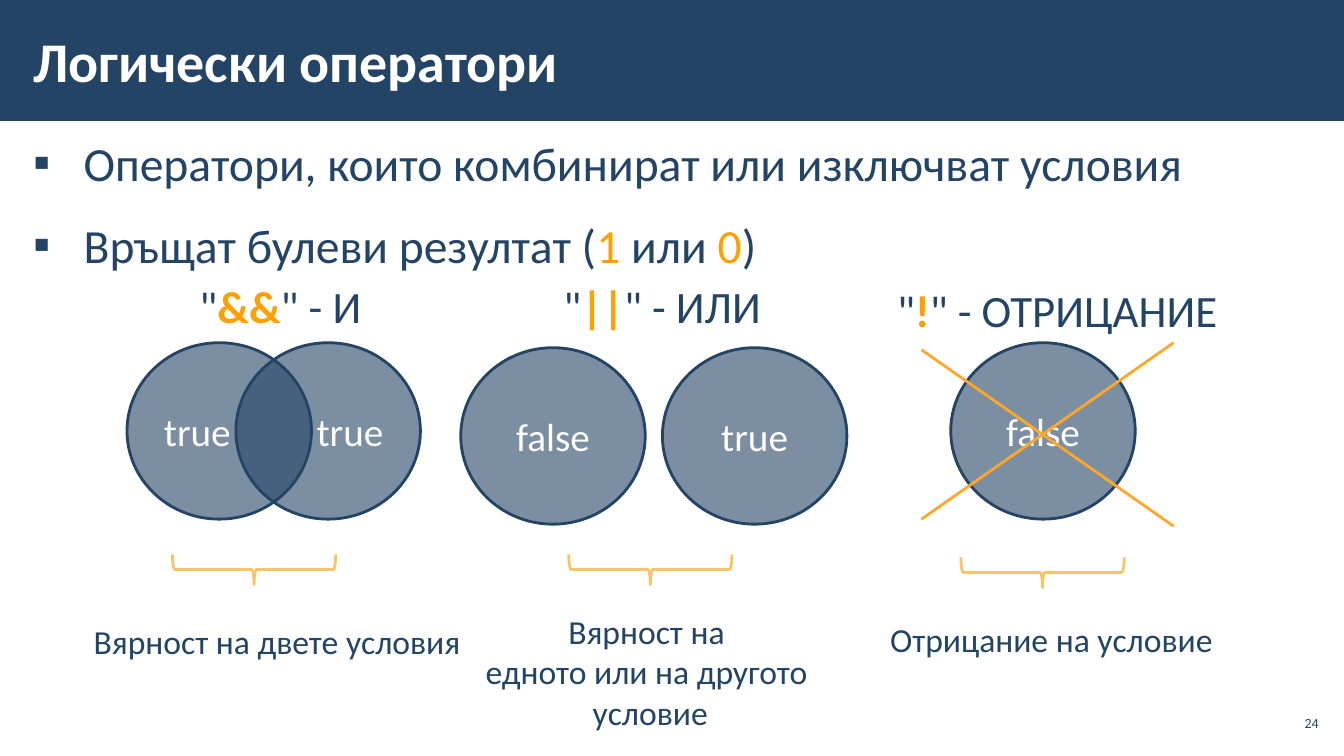
"""Build the slide on logical operators with Venn circles, braces and captions."""
from dataclasses import dataclass
from typing import Optional

from lxml.etree import SubElement
from pptx import Presentation
from pptx.dml.color import RGBColor
from pptx.enum.shapes import MSO_CONNECTOR as Connector, MSO_SHAPE as Preset
from pptx.enum.text import MSO_ANCHOR as Anchor, MSO_AUTO_SIZE as AutoSize, PP_ALIGN as Align
from pptx.oxml.ns import qn
from pptx.util import Inches, Pt

NAVY = RGBColor(0x23, 0x44, 0x65)
AMBER = RGBColor(0xFF, 0xA0, 0x00)
CROSS = RGBColor(0xFF, 0xA7, 0x2A)
SAND = RGBColor(0xF5, 0xC5, 0x67)
WHITE = RGBColor(0xFF, 0xFF, 0xFF)
FONT = "Calibri"
CIRCLE_WIDTH, CIRCLE_HEIGHT = 1.83, 1.75
BRACE_WIDTH, BRACE_HEIGHT = 0.3, 1.62


@dataclass(frozen=True)
class Box:
    left: float
    top: float
    width: float
    height: float

    def lengths(self) -> tuple:
        return tuple(Inches(n) for n in (self.left, self.top, self.width, self.height))


@dataclass(frozen=True)
class Piece:
    text: str
    color: RGBColor = NAVY
    bold: bool = False


@dataclass(frozen=True)
class Circle:
    left: float
    text: str
    align: Align = Align.CENTER


@dataclass(frozen=True)
class Operator:
    symbol: str
    name: str
    heading: Box
    circle_top: float
    circles: tuple[Circle, ...]
    brace_left: float
    brace_top: float
    caption: Box
    lines: tuple[str, ...]
    caption_align: Optional[Align] = None


BULLETS = (
    (Piece("Оператори, които комбинират или изключват условия"),),
    (Piece("Връщат булеви резултат ("), Piece("1", AMBER), Piece(" или "),
     Piece("0", AMBER), Piece(")")),
)
OPERATORS = (
    Operator("&&", "И", Box(1.88, 2.72, 1.88, 0.64), 3.4,
             (Circle(1.26, "true", Align.LEFT), Circle(2.34, "true", Align.RIGHT)),
             2.37, 4.84, Box(0.83, 6.11, 3.87, 0.5), ("Вярност на двете условия",)),
    Operator("||", "ИЛИ", Box(5.49, 2.72, 2.17, 0.64), 3.45,
             (Circle(4.57, "false"), Circle(6.57, "true")),
             6.3, 4.84, Box(4.7, 6.01, 3.5, 1.31),
             ("Вярност на ", "едното или на другото ", "условие"), Align.CENTER),
    Operator("!", "ОТРИЦАНИЕ", Box(8.8, 2.76, 3.41, 0.64), 3.4,
             (Circle(9.43, "false"),),
             10.19, 4.87, Box(8.73, 6.09, 3.44, 0.5), ("Отрицание на условие",)),
)
CROSS_LINES = ((11.64, 3.4, 9.14, 5.15), (11.64, 5.22, 9.14, 3.47))


def add_pieces(paragraph, pieces, size: float) -> None:
    for piece in pieces:
        run = paragraph.add_run()
        run.text = piece.text
        run.font.name = FONT
        run.font.size = Pt(size)
        run.font.bold = piece.bold
        run.font.color.rgb = piece.color


def set_insets(frame, horizontal: float, vertical: float) -> None:
    frame.margin_left = frame.margin_right = Inches(horizontal)
    frame.margin_top = frame.margin_bottom = Inches(vertical)


def place(shape, box: Box) -> None:
    shape.left, shape.top, shape.width, shape.height = box.lengths()


def add_label(slide, box: Box, rows, size: float, align: Align = Align.LEFT) -> None:
    frame = slide.shapes.add_textbox(*box.lengths()).text_frame
    frame.word_wrap = False
    frame.auto_size = AutoSize.SHAPE_TO_FIT_TEXT
    for index, pieces in enumerate(rows):
        paragraph = frame.add_paragraph() if index else frame.paragraphs[0]
        paragraph.alignment = align
        add_pieces(paragraph, pieces, size)


def add_header(slide) -> None:
    band = slide.shapes.add_shape(Preset.RECTANGLE, *Box(0, 0, 13.33, 1.2).lengths())
    band.shadow.inherit = False
    band.fill.solid()
    band.fill.fore_color.rgb = NAVY
    band.line.fill.background()
    slide.shapes.title.element.addprevious(band.element)

    title = slide.shapes.title
    place(title, Box(0.21, 0.11, 10.39, 0.97))
    frame = title.text_frame
    frame.auto_size = AutoSize.NONE
    frame.vertical_anchor = Anchor.MIDDLE
    set_insets(frame, 0.12, 0.04)
    frame.paragraphs[0].alignment = Align.LEFT
    add_pieces(frame.paragraphs[0], (Piece("Логически оператори", WHITE, True),), 40)


def add_bullets(slide) -> None:
    body = slide.placeholders[1]
    place(body, Box(0.21, 1.2, 12.91, 6.09))
    frame = body.text_frame
    frame.auto_size = AutoSize.NONE
    set_insets(frame, 0.12, 0.04)
    for index, pieces in enumerate(BULLETS):
        paragraph = frame.add_paragraph() if index else frame.paragraphs[0]
        properties = paragraph._p.get_or_add_pPr()
        properties.set("marL", str(Inches(0.5)))
        properties.set("indent", str(Inches(-0.5)))
        SubElement(properties, qn("a:buFont"), typeface=FONT)
        SubElement(properties, qn("a:buChar"), char="▪")
        paragraph.line_spacing = 1.15
        paragraph.space_before = Pt(6 if index else 0)
        paragraph.space_after = Pt(6)
        add_pieces(paragraph, pieces, 34)


def add_circle(slide, circle: Circle, top: float) -> None:
    box = Box(circle.left, top, CIRCLE_WIDTH, CIRCLE_HEIGHT)
    shape = slide.shapes.add_shape(Preset.OVAL, *box.lengths())
    shape.shadow.inherit = False
    shape.fill.solid()
    shape.fill.fore_color.rgb = NAVY
    color = shape.element.spPr.find(qn("a:solidFill")).find(qn("a:srgbClr"))
    SubElement(color, qn("a:alpha"), val="60000")
    shape.line.color.rgb = NAVY
    shape.line.width = Pt(2)
    shape.text_frame.vertical_anchor = Anchor.MIDDLE
    paragraph = shape.text_frame.paragraphs[0]
    paragraph.alignment = circle.align
    add_pieces(paragraph, (Piece(circle.text, WHITE),), 28)


def add_brace(slide, left: float, top: float) -> None:
    box = Box(left, top, BRACE_WIDTH, BRACE_HEIGHT)
    brace = slide.shapes.add_shape(Preset.RIGHT_BRACE, *box.lengths())
    brace.rotation = 90
    brace.shadow.inherit = False
    brace.fill.background()
    brace.line.color.rgb = SAND
    brace.line.width = Pt(2)


def add_operator(slide, operator: Operator) -> None:
    for circle in operator.circles:
        add_circle(slide, circle, operator.circle_top)
    heading = (Piece('"'), Piece(operator.symbol, AMBER, True), Piece(f'" - {operator.name}'))
    add_label(slide, operator.heading, (heading,), 32)
    add_brace(slide, operator.brace_left, operator.brace_top)
    rows = [(Piece(line),) for line in operator.lines]
    add_label(slide, operator.caption, rows, 24, operator.caption_align or Align.LEFT)


def add_cross(slide) -> None:
    for ends in CROSS_LINES:
        line = slide.shapes.add_connector(Connector.STRAIGHT, *(Inches(n) for n in ends))
        line.line.color.rgb = CROSS
        line.line.width = Pt(2)
        SubElement(line.element.spPr, qn("a:effectLst"))


def add_page_number(slide) -> None:
    frame = slide.shapes.add_textbox(*Box(12.65, 7, 0.47, 0.34).lengths()).text_frame
    frame.word_wrap = True
    frame.vertical_anchor = Anchor.MIDDLE
    set_insets(frame, 0.04, 0.04)
    frame.paragraphs[0].alignment = Align.RIGHT
    add_pieces(frame.paragraphs[0], (Piece("24"),), 10)


def main() -> None:
    presentation = Presentation()
    presentation.slide_width, presentation.slide_height = Inches(13.33), Inches(7.5)
    slide = presentation.slides.add_slide(presentation.slide_layouts[1])
    add_header(slide)
    add_bullets(slide)
    add_page_number(slide)
    for operator in OPERATORS:
        add_operator(slide, operator)
    add_cross(slide)
    presentation.save("out.pptx")


if __name__ == "__main__":
    main()
